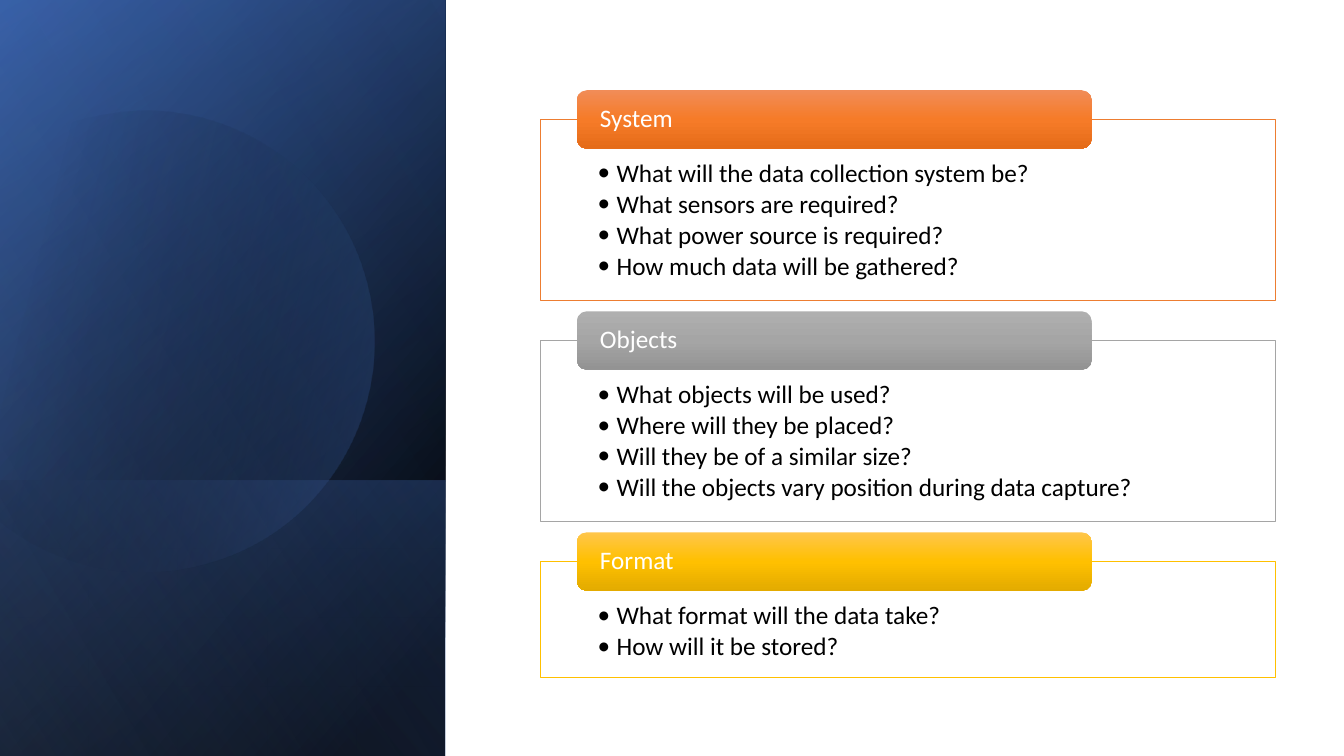
from math import cos, radians, sin

from lxml.etree import SubElement
from pptx import Presentation
from pptx.dml.color import RGBColor
from pptx.enum.shapes import MSO_SHAPE
from pptx.enum.text import MSO_ANCHOR, PP_ALIGN
from pptx.oxml.ns import qn
from pptx.util import Cm, Pt

FONT = "Calibri"
BLACK = RGBColor(0x00, 0x00, 0x00)
WHITE = RGBColor(0xFF, 0xFF, 0xFF)
BLUE = RGBColor(0x44, 0x72, 0xC4)
DARK_BLUE = RGBColor(0x2F, 0x55, 0x97)
LIGHT_BLUE = RGBColor(0x8F, 0xAA, 0xDC)
ORANGE = RGBColor(0xED, 0x7D, 0x31)
ORANGE_SHADES = [RGBColor(0xF1, 0x8C, 0x57), RGBColor(0xF6, 0x7B, 0x28), RGBColor(0xE5, 0x6C, 0x19)]
GRAY = RGBColor(0xA5, 0xA5, 0xA5)
GRAY_SHADES = [RGBColor(0xAF, 0xAF, 0xAF), GRAY, RGBColor(0x93, 0x93, 0x93)]
GOLD = RGBColor(0xFF, 0xC0, 0x00)
GOLD_SHADES = [RGBColor(0xFF, 0xC6, 0x4B), GOLD, RGBColor(0xE3, 0xAB, 0x00)]

# Lengths in centimetres
PANEL_WIDTH, SLIDE_HEIGHT = 11.22, 19.05
CARD_LEFT, CARD_TOP, CARD_WIDTH, CARD_GAP = 13.61, 3.01, 18.52, 1.01
HEADER_INDENT, HEADER_WIDTH, HEADER_HEIGHT = 0.93, 12.97, 1.47

# Header, height, line colour, header shades, questions
CARDS = [
    ("System", 4.56, ORANGE, ORANGE_SHADES, [
        "What will the data collection system be?",
        "What sensors are required?",
        "What power source is required?",
        "How much data will be gathered?"]),
    ("Objects", 4.56, GRAY, GRAY_SHADES, [
        "What objects will be used?",
        "Where will they be placed?",
        "Will they be of a similar size?",
        "Will the objects vary position during data capture?"]),
    ("Format", 2.93, GOLD, GOLD_SHADES, [
        "What format will the data take?",
        "How will it be stored?"]),
]

# Panel layers: top, angle, stops of (position, colour, opacity), all in percent
PANEL_LAYERS = [
    (0, 50, [(8, BLACK, 100), (100, DARK_BLUE, 100)]),
    (0, 30, [(0, BLACK, 0), (99, BLUE, 46)]),
    (12.1, 130, [(2, BLUE, 29), (100, BLACK, 30)]),
]
SHEEN_LAYER = (0, 120, [(0, BLACK, 0), (99, LIGHT_BLUE, 11)])

# Disc: frame before turning, and its outline as seen on the slide
DISC_LEFT, DISC_TOP, DISC_WIDTH, DISC_HEIGHT = -1.4, 2.69, 10.85, 11.61
DISC_TURN = -16.1
DISC_STOPS = [(29, BLACK, 0), (100, BLUE, 43)]
DISC_OUTLINE = [
    ("moveTo", [(3.78, 2.79)]),
    ("cubicBezTo", [(6.25, 2.84), (8.51, 4.5), (9.22, 6.99)]),
    ("cubicBezTo", [(10.11, 10.08), (8.33, 13.31), (5.26, 14.17)]),
    ("cubicBezTo", [(3.33, 14.73), (1.35, 14.25), (-0.08, 13.06)]),
    ("lnTo", [(-0.38, 12.78)]),
    ("lnTo", [(-0.38, 4.45)]),
    ("lnTo", [(0, 4.09)]),
    ("cubicBezTo", [(0.58, 3.61), (1.27, 3.25), (2.03, 3.02)]),
    ("cubicBezTo", [(2.62, 2.87), (3.2, 2.79), (3.78, 2.79)]),
    ("close", []),
]


def add_opacity(color_element, percent):
    SubElement(color_element, qn("a:alpha"), val=str(percent * 1000))


def fill_gradient(shape, angle, stops):
    """Fill with a linear gradient; the angle runs clockwise."""
    shape.shadow.inherit = False
    shape.line.fill.background()
    shape.fill.gradient()
    gradient = shape._element.spPr.find(qn("a:gradFill"))
    for child in list(gradient):
        gradient.remove(child)
    gradient.set("rotWithShape", "1")
    stop_list = SubElement(gradient, qn("a:gsLst"))
    for position, color, opacity in stops:
        stop = SubElement(stop_list, qn("a:gs"), pos=str(position * 1000))
        color_element = SubElement(stop, qn("a:srgbClr"), val=str(color))
        if opacity < 100:
            add_opacity(color_element, opacity)
    SubElement(gradient, qn("a:lin"), ang=str(angle * 60000), scaled="0")


def add_panel_layer(slide, top, angle, stops):
    """Add a mirrored rectangle, turned upright, reaching the slide's bottom."""
    length = SLIDE_HEIGHT - top
    shape = slide.shapes.add_shape(
        MSO_SHAPE.RECTANGLE, Cm((PANEL_WIDTH - length) / 2),
        Cm(top + (length - PANEL_WIDTH) / 2), Cm(length), Cm(PANEL_WIDTH))
    shape.rotation = 90
    shape._element.spPr.find(qn("a:xfrm")).set("flipH", "1")
    fill_gradient(shape, angle, stops)


def turn_back(x, y):
    """Give a slide point's place inside the disc's unturned frame."""
    angle = radians(-DISC_TURN)
    across = x - DISC_LEFT - DISC_WIDTH / 2
    down = y - DISC_TOP - DISC_HEIGHT / 2
    return (Cm(DISC_WIDTH / 2 + across * cos(angle) - down * sin(angle)),
            Cm(DISC_HEIGHT / 2 + across * sin(angle) + down * cos(angle)))


def add_disc(slide):
    """Add a circle cut off along its left side."""
    left, top = Cm(DISC_LEFT), Cm(DISC_TOP)
    right, bottom = left + Cm(DISC_WIDTH), top + Cm(DISC_HEIGHT)
    builder = slide.shapes.build_freeform(left, top)
    builder.add_line_segments([(right, top), (right, bottom), (left, bottom)])
    disc = builder.convert_to_shape()
    disc.rotation = DISC_TURN

    # Replace the straight frame with the curved outline
    outline = next(disc._element.iter(qn("a:path")))
    for child in list(outline):
        outline.remove(child)
    for command, points in DISC_OUTLINE:
        segment = SubElement(outline, qn(f"a:{command}"))
        for point in points:
            x, y = turn_back(*point)
            SubElement(segment, qn("a:pt"), x=str(x), y=str(y))
    fill_gradient(disc, 30, DISC_STOPS)


def set_text(shape, lines, color, anchor, left, top=0):
    frame = shape.text_frame
    frame.word_wrap = True
    frame.vertical_anchor = anchor
    frame.margin_left = frame.margin_right = Cm(left)
    frame.margin_top, frame.margin_bottom = Cm(top), 0
    frame.text = "\n".join(lines)
    for paragraph in frame.paragraphs:
        paragraph.alignment = PP_ALIGN.LEFT
        paragraph.line_spacing = 0.9
        paragraph.font.name = FONT
        paragraph.font.size = Pt(18)
        paragraph.font.color.rgb = color


def add_bullets(shape):
    for paragraph in shape.text_frame.paragraphs:
        paragraph.space_after = Pt(2.7)
        properties = paragraph._p.get_or_add_pPr()
        properties.set("marL", str(Cm(0.48)))
        properties.set("indent", str(-Cm(0.48)))
        defaults = properties.find(qn("a:defRPr"))
        for tag, attributes in (("a:buFont", {"typeface": FONT}), ("a:buChar", {"char": "•"})):
            defaults.addprevious(properties.makeelement(qn(tag), attributes))


def add_card(slide, top, header, height, color, shades, questions):
    # Outlined box with the questions
    box = slide.shapes.add_shape(
        MSO_SHAPE.RECTANGLE, Cm(CARD_LEFT), Cm(top), Cm(CARD_WIDTH), Cm(height))
    box.shadow.inherit = False
    box.fill.solid()
    box.fill.fore_color.rgb = WHITE
    add_opacity(box._element.spPr.find(qn("a:solidFill"))[0], 90)
    box.line.color.rgb = color
    box.line.width = Pt(0.5)
    set_text(box, questions, BLACK, MSO_ANCHOR.TOP, left=1.45, top=1.03)
    add_bullets(box)

    # Header centred on the top edge of the box
    label = slide.shapes.add_shape(
        MSO_SHAPE.ROUNDED_RECTANGLE, Cm(CARD_LEFT + HEADER_INDENT),
        Cm(top - HEADER_HEIGHT / 2), Cm(HEADER_WIDTH), Cm(HEADER_HEIGHT))
    fill_gradient(label, 90, [(50 * index, shade, 100) for index, shade in enumerate(shades)])
    set_text(label, [header], WHITE, MSO_ANCHOR.MIDDLE, left=0.51)


def main():
    presentation = Presentation()
    presentation.slide_width, presentation.slide_height = Cm(33.87), Cm(SLIDE_HEIGHT)
    slide = presentation.slides.add_slide(presentation.slide_layouts.get_by_name("Blank"))

    # Left panel
    for layer in PANEL_LAYERS:
        add_panel_layer(slide, *layer)
    add_disc(slide)
    add_panel_layer(slide, *SHEEN_LAYER)

    # Cards, stacked with equal gaps
    top = CARD_TOP
    for header, height, *details in CARDS:
        add_card(slide, top, header, height, *details)
        top += height + CARD_GAP

    presentation.save("out.pptx")


main()
